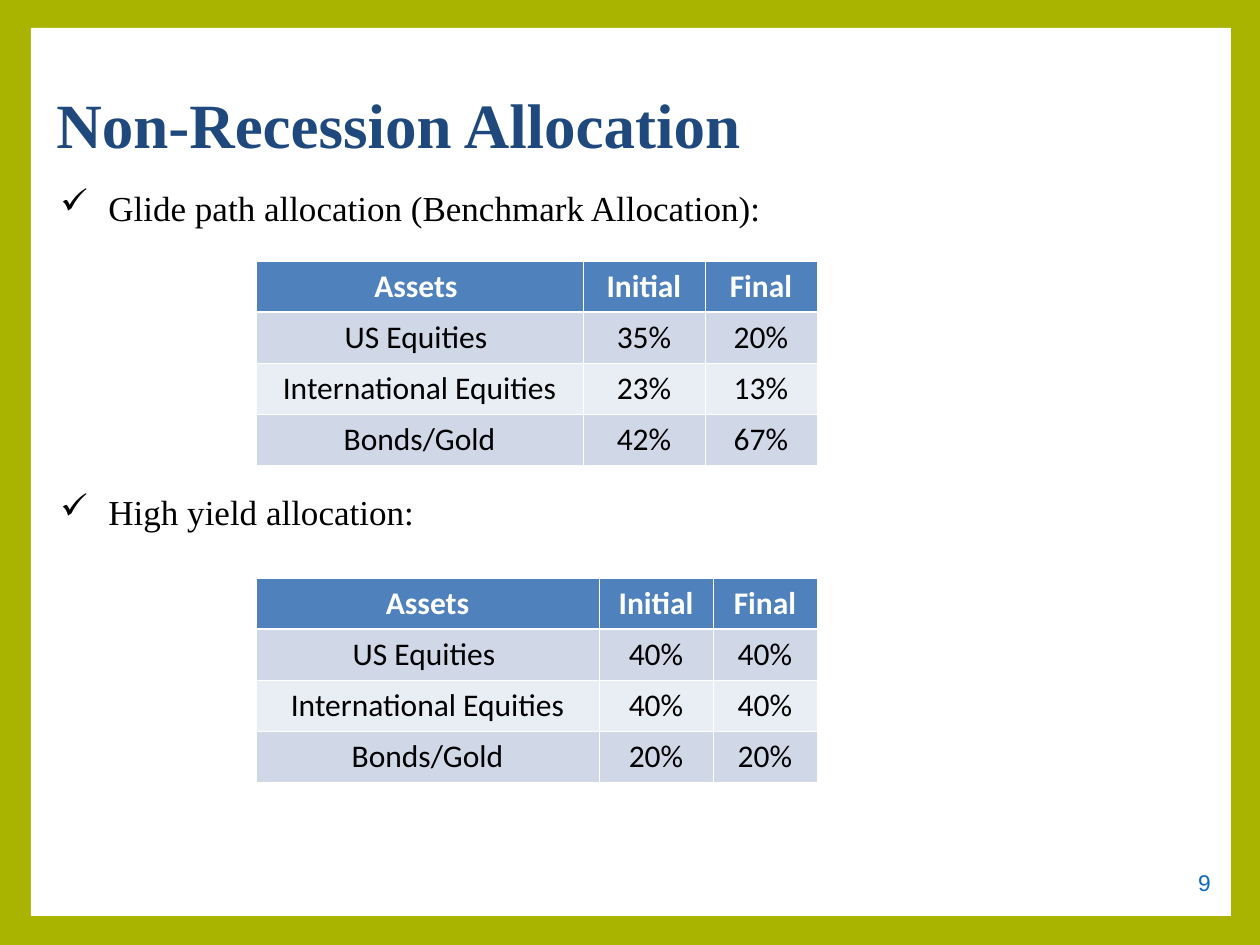
"""Build the Non-Recession Allocation slide with its two asset tables."""
from dataclasses import dataclass

from lxml.etree import SubElement
from pptx import Presentation
from pptx.dml.color import RGBColor
from pptx.enum.shapes import MSO_SHAPE
from pptx.enum.text import MSO_ANCHOR, PP_ALIGN
from pptx.oxml.ns import qn
from pptx.slide import Slide
from pptx.text.text import TextFrame, _Paragraph
from pptx.util import Emu, Pt

SCALE = 914400 / 126
ROW = 51
THIN, THICK = 0.45, 1.47

OLIVE = RGBColor(0xA8, 0xB4, 0x00)
WHITE = RGBColor(0xFF, 0xFF, 0xFF)
BLACK = RGBColor(0x00, 0x00, 0x00)
NAVY = RGBColor(0x1F, 0x49, 0x7D)
AZURE = RGBColor(0x0D, 0x6A, 0xBE)
STEEL = RGBColor(0x4F, 0x81, 0xBD)
MIST = RGBColor(0xD0, 0xD8, 0xE8)
PALE = RGBColor(0xE9, 0xED, 0xF4)


@dataclass(frozen=True)
class Style:
    face: str
    size: int
    color: RGBColor
    bold: bool = False


@dataclass(frozen=True)
class Box:
    left: int
    top: int
    width: int
    height: int


@dataclass(frozen=True)
class Grid:
    left: int
    top: int
    widths: tuple[int, ...]
    rows: tuple[tuple[str, ...], ...]


TITLE = Style("Times New Roman", 36, NAVY, True)
POINT = Style("Times New Roman", 20, BLACK)
NUMBER = Style("Arial", 13, AZURE)
HEAD = Style("Calibri", 18, WHITE, True)
BODY = Style("Calibri", 18, BLACK)

POINTS = (
    ("Glide path allocation (Benchmark Allocation):", 0),
    ("High yield allocation:", 150),
)
GRIDS = (
    Grid(256, 261, (327, 122, 112), (
        ("Assets ", "Initial", "Final"),
        ("US Equities ", "35%", "20%"),
        ("International Equities", "23%", "13%"),
        ("Bonds/Gold", "42%", "67%"),
    )),
    Grid(256, 578, (343, 114, 104), (
        ("Assets", "Initial", "Final"),
        ("US Equities ", "40%", "40%"),
        ("International Equities", "40%", "40%"),
        ("Bonds/Gold", "20%", "20%"),
    )),
)


def px(count: int) -> Emu:
    return Emu(round(count * SCALE))


def place(box: Box) -> tuple[Emu, ...]:
    return px(box.left), px(box.top), px(box.width), px(box.height)


def write(para: _Paragraph, text: str, style: Style, align: PP_ALIGN) -> None:
    para.alignment = align
    run = para.add_run()
    run.text = text
    run.font.name = style.face
    run.font.size = Pt(style.size)
    run.font.bold = style.bold
    run.font.color.rgb = style.color


def add_text(slide: Slide, box: Box, anchor: MSO_ANCHOR) -> TextFrame:
    frame = slide.shapes.add_textbox(*place(box)).text_frame
    frame.word_wrap = True
    frame.vertical_anchor = anchor
    return frame


def add_panel(slide: Slide, box: Box) -> None:
    panel = slide.shapes.add_shape(MSO_SHAPE.RECTANGLE, *place(box))
    panel.shadow.inherit = False
    panel.fill.solid()
    panel.fill.fore_color.rgb = WHITE
    panel.line.fill.background()


def add_check(para: _Paragraph) -> None:
    props = para._p.get_or_add_pPr()
    props.set("marL", str(px(48)))
    props.set("indent", str(-px(48)))
    color = SubElement(props, qn("a:buClr"))
    SubElement(color, qn("a:srgbClr"), val=str(BLACK))
    SubElement(props, qn("a:buChar"), char="✓")


def add_points(slide: Slide, box: Box) -> None:
    frame = add_text(slide, box, MSO_ANCHOR.TOP)
    for index, (text, gap) in enumerate(POINTS):
        para = frame.add_paragraph() if index else frame.paragraphs[0]
        add_check(para)
        if gap:
            para.space_before = Pt(gap)
        write(para, text, POINT, PP_ALIGN.JUSTIFY)


def add_edges(cell, row: int) -> None:
    props = cell._tc.get_or_add_tcPr()
    top = THICK if row == 1 else THIN
    base = THICK if row == 0 else THIN
    for side, width in zip("LRTB", (THIN, THIN, top, base)):
        line = SubElement(props, qn(f"a:ln{side}"), w=str(Pt(width)))
        fill = SubElement(line, qn("a:solidFill"))
        SubElement(fill, qn("a:srgbClr"), val=str(WHITE))


def add_grid(slide: Slide, grid: Grid) -> None:
    count = len(grid.rows)
    box = Box(grid.left, grid.top, sum(grid.widths), ROW * count)
    table = slide.shapes.add_table(count, len(grid.widths), *place(box)).table
    table.horz_banding = False
    for column, width in zip(table.columns, grid.widths):
        column.width = px(width)
    for row, texts in enumerate(grid.rows):
        table.rows[row].height = px(ROW)
        shade = STEEL if row == 0 else MIST if row % 2 else PALE
        for col, text in enumerate(texts):
            cell = table.cell(row, col)
            add_edges(cell, row)
            cell.fill.solid()
            cell.fill.fore_color.rgb = shade
            style = BODY if row else HEAD
            write(cell.text_frame.paragraphs[0], text, style, PP_ALIGN.CENTER)


def main() -> None:
    deck = Presentation()
    deck.slide_width, deck.slide_height = px(1260), px(945)
    slide = deck.slides.add_slide(deck.slide_layouts[6])
    slide.background.fill.solid()
    slide.background.fill.fore_color.rgb = OLIVE
    add_panel(slide, Box(31, 28, 1200, 888))

    title = add_text(slide, Box(44, 73, 948, 107), MSO_ANCHOR.TOP)
    title.margin_top = px(12)
    write(title.paragraphs[0], "Non-Recession Allocation", TITLE, PP_ALIGN.LEFT)
    number = add_text(slide, Box(929, 857, 294, 50), MSO_ANCHOR.MIDDLE)
    write(number.paragraphs[0], "9", NUMBER, PP_ALIGN.RIGHT)

    add_points(slide, Box(48, 180, 1143, 551))
    for grid in GRIDS:
        add_grid(slide, grid)
    deck.save("out.pptx")


if __name__ == "__main__":
    main()
